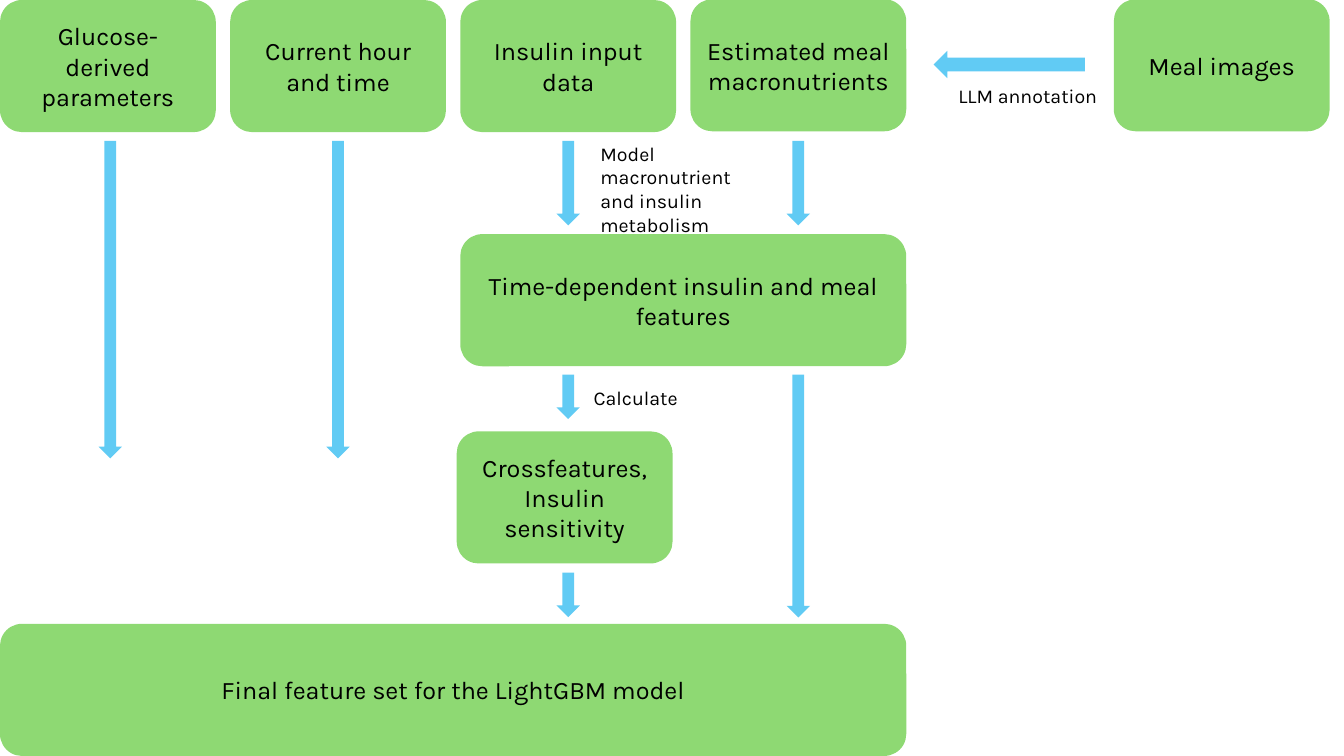
from dataclasses import dataclass

from pptx import Presentation
from pptx import util as u
from pptx.dml.color import RGBColor
from pptx.enum import shapes, text

GREEN = RGBColor(0x8E, 0xD9, 0x73)
BLUE = RGBColor(0x61, 0xCB, 0xF4)
BLACK = RGBColor(0, 0, 0)
FONT = "Karla"

# Grid in centimetres
STEP, WIDE, HIGH = 5.8, 5.44, 3.33
SHAFT = 0.59
ROWS = (0, 5.9, 10.87, 15.72)


@dataclass
class Box:
    words: str
    left: float
    top: float
    span: int = 1


@dataclass
class Arrow:
    mid: float
    top: float
    size: float


@dataclass
class Label:
    words: str
    left: float
    top: float
    width: float
    height: float


def center(col: int) -> float:
    return col * STEP + WIDE / 2


BOXES = (
    Box("Glucose-derived parameters", 0, ROWS[0]),
    Box("Current hour and time", STEP, ROWS[0]),
    Box("Insulin input data", 2 * STEP, ROWS[0]),
    Box("Estimated meal macronutrients", 3 * STEP, ROWS[0] - 0.02),
    Box("Meal images", 28.07, ROWS[0] - 0.02),
    Box("Time-dependent insulin and meal features", 2 * STEP, ROWS[1], 2),
    Box("Crossfeatures,\nInsulin sensitivity", 11.51, ROWS[2]),
    Box("Final feature set for the LightGBM model", 0, ROWS[3], 4),
)

ARROWS = (
    Arrow(center(0) + 0.06, 3.55, 8),
    Arrow(center(1), 3.55, 8),
    Arrow(center(2), 3.55, 2.13),
    Arrow(center(3), 3.55, 2.13),
    Arrow(center(2), 9.44, 1.12),
    Arrow(center(3), 9.44, 6.12),
    Arrow(center(2), 14.43, 1.12),
)

LABELS = (
    Label("LLM annotation", 23.9, 1.98, 5.11, 0.86),
    Label("Model macronutrient and insulin metabolism", 14.88, 3.45, 4.65, 2.06),
    Label("Calculate", 14.71, 9.6, 4.65, 0.86),
)


def write(frame, words: str, size: int, align) -> None:
    frame.word_wrap = True
    for i, line in enumerate(words.split("\n")):
        para = frame.add_paragraph() if i else frame.paragraphs[0]
        para.alignment = align
        run = para.add_run()
        run.text = line
        run.font.name = FONT
        run.font.size = u.Pt(size)
        run.font.color.rgb = BLACK


def draw(slide, kind, left: float, top: float, width: float, height: float,
         color: RGBColor):
    shape = slide.shapes.add_shape(
        kind, u.Cm(left), u.Cm(top), u.Cm(width), u.Cm(height))
    shape.shadow.inherit = False
    shape.fill.solid()
    shape.fill.fore_color.rgb = color
    shape.line.fill.background()
    return shape


def add_box(slide, box: Box) -> None:
    width = (box.span - 1) * STEP + WIDE
    shape = draw(slide, shapes.MSO_SHAPE.ROUNDED_RECTANGLE,
                 box.left, box.top, width, HIGH, GREEN)
    shape.text_frame.vertical_anchor = text.MSO_ANCHOR.MIDDLE
    write(shape.text_frame, box.words, 18, text.PP_ALIGN.CENTER)


def add_arrow(slide, arrow: Arrow) -> None:
    draw(slide, shapes.MSO_SHAPE.DOWN_ARROW, arrow.mid - SHAFT / 2,
         arrow.top, SHAFT, arrow.size, BLUE)


def add_label(slide, label: Label) -> None:
    shape = slide.shapes.add_textbox(
        u.Cm(label.left), u.Cm(label.top), u.Cm(label.width), u.Cm(label.height))
    write(shape.text_frame, label.words, 14, text.PP_ALIGN.LEFT)
    shape.text_frame.auto_size = text.MSO_AUTO_SIZE.SHAPE_TO_FIT_TEXT


def main() -> None:
    deck = Presentation()
    deck.slide_width, deck.slide_height = u.Cm(33.87), u.Cm(19.05)
    slide = deck.slides.add_slide(deck.slide_layouts[6])

    # Feature boxes
    for box in BOXES:
        add_box(slide, box)

    # Flow down, and from the meal images to the left
    for arrow in ARROWS:
        add_arrow(slide, arrow)
    draw(slide, shapes.MSO_SHAPE.LEFT_ARROW, 23.53, 1.28, 3.81, 0.69, BLUE)

    # Notes on the steps
    for label in LABELS:
        add_label(slide, label)

    deck.save("out.pptx")


if __name__ == "__main__":
    main()
